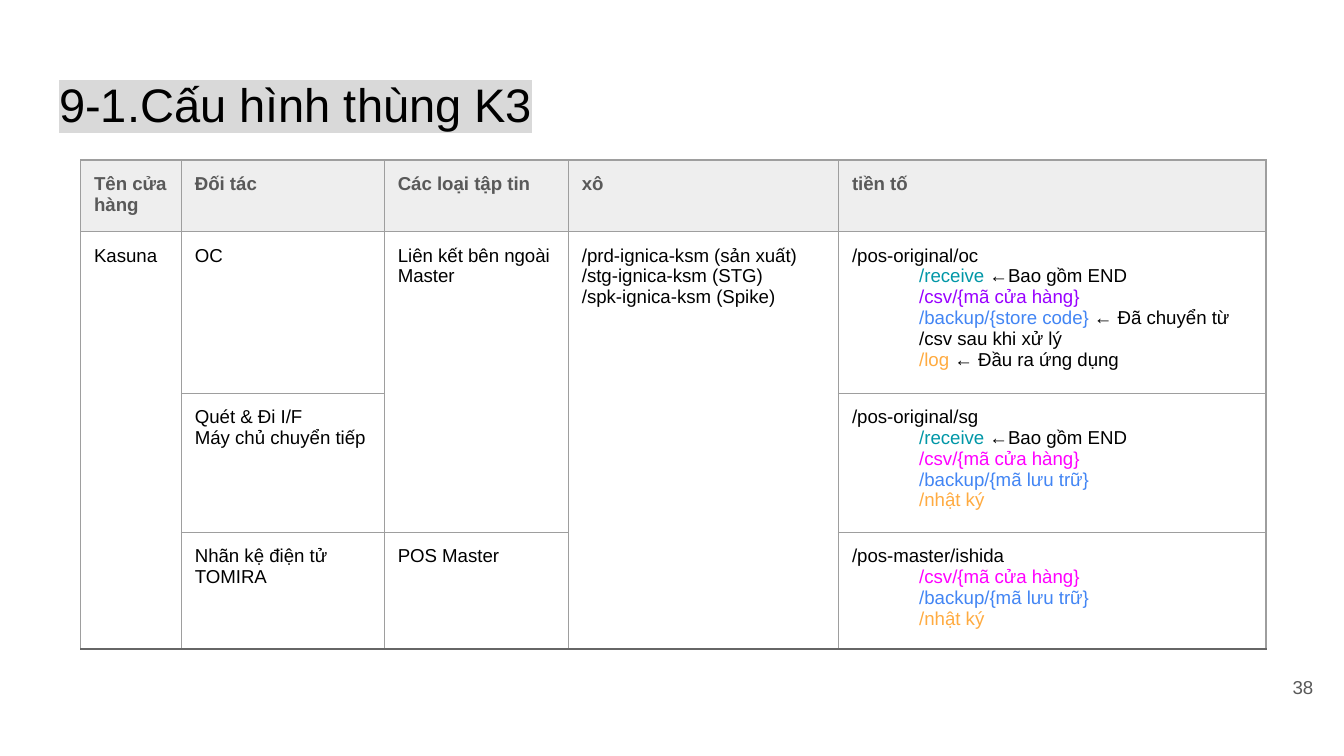
from pptx import Presentation
from pptx.dml.color import RGBColor as RGB
from pptx.enum.text import MSO_ANCHOR as Anchor, PP_ALIGN as Align
from pptx.oxml import parse_xml
from pptx.oxml.ns import nsdecls, qn
from pptx.util import Inches, Pt

BLACK = RGB(0x00, 0x00, 0x00)
GRAY = RGB(0x59, 0x59, 0x59)
PALE = RGB(0xEE, 0xEE, 0xEE)
MARK = RGB(0xD9, 0xD9, 0xD9)
EDGE = RGB(0x9E, 0x9E, 0x9E)
BASE = RGB(0x66, 0x66, 0x66)
TEAL = RGB(0x00, 0x97, 0xA7)
PURPLE = RGB(0x99, 0x00, 0xFF)
PINK = RGB(0xFF, 0x00, 0xFF)
BLUE = RGB(0x42, 0x85, 0xF4)
ORANGE = RGB(0xFF, 0xAB, 0x40)

COLS = [0.75, 1.51, 1.37, 2.01, 3.18]
ROWS = [0.26, 0.42, 0, 0]  # least heights: rows grow with their text
MERGES = [((1, 0), (3, 0)), ((1, 2), (2, 2)), ((1, 3), (3, 3))]

# A line is plain text, or a list of coloured runs that is indented.
RECEIVE = [("/receive ", TEAL), ("←Bao gồm END", BLACK)]
STORE = [
    [("/csv/{mã cửa hàng}", PINK)],
    [("/backup/{mã lưu trữ}", BLUE)],
    [("/nhật ký", ORANGE)],
]
HEADS = ["Tên cửa hàng", "Đối tác", "Các loại tập tin", "xô", "tiền tố"]
BODY = {
    (1, 0): ["Kasuna"],
    (1, 1): ["OC"],
    (1, 2): ["Liên kết bên ngoài Master"],
    (1, 3): ["/prd-ignica-ksm (sản xuất)", "/stg-ignica-ksm (STG)",
             "/spk-ignica-ksm (Spike)"],
    (1, 4): ["/pos-original/oc", RECEIVE,
             [("/csv/{mã cửa hàng}", PURPLE)],
             [("/backup/{store code} ", BLUE),
              ("← Đã chuyển từ /csv sau khi xử lý", BLACK)],
             [("/log ", ORANGE), ("← Đầu ra ứng dụng", BLACK)]],
    (2, 1): ["Quét & Đi I/F", "Máy chủ chuyển tiếp"],
    (2, 4): ["/pos-original/sg", RECEIVE, *STORE],
    (3, 1): ["Nhãn kệ điện tử TOMIRA"],
    (3, 2): ["POS Master"],
    (3, 4): ["/pos-master/ishida", *STORE],
}


def add_run(para, text, color, size=10, bold=False):
    run = para.add_run()
    run.text = text
    font = run.font
    font.name, font.size, font.bold = "Arial", Pt(size), bold
    font.color.rgb = color
    return run


def pad(item):
    """Give a cell or text frame the same inset on all sides."""
    item.margin_left = item.margin_right = Inches(0.1)
    item.margin_top = item.margin_bottom = Inches(0.1)


def place(shape, box):
    shape.left, shape.top, shape.width, shape.height = map(Inches, box)


def add_title(slide, box):
    title = slide.shapes.title
    place(title, box)
    frame = title.text_frame
    pad(frame)
    frame.word_wrap = True
    frame.vertical_anchor = Anchor.MIDDLE
    para = frame.paragraphs[0]
    para.alignment = Align.LEFT
    run = add_run(para, "9-1.Cấu hình thùng K3", BLACK, 25.2)
    fill = run.font._element.find(qn("a:solidFill"))
    fill.addnext(parse_xml(
        f'<a:highlight {nsdecls("a")}><a:srgbClr val="{MARK}"/></a:highlight>'))


def add_number(slide, box):
    frame = slide.shapes.add_textbox(*map(Inches, box)).text_frame
    pad(frame)
    frame.word_wrap = True
    frame.vertical_anchor = Anchor.MIDDLE
    para = frame.paragraphs[0]
    para.alignment = Align.RIGHT
    add_run(para, "38", GRAY)


def set_edges(cell, base):
    props = cell._tc.get_or_add_tcPr()
    sides = [("lnL", EDGE), ("lnR", EDGE), ("lnT", EDGE), ("lnB", base)]
    for spot, (side, color) in enumerate(sides):
        props.insert(spot, parse_xml(
            f'<a:{side} {nsdecls("a")} w="{Pt(0.75)}"><a:solidFill>'
            f'<a:srgbClr val="{color}"/></a:solidFill></a:{side}>'))


def fill_cell(cell, lines, color, bold):
    pad(cell)
    cell.vertical_anchor = Anchor.TOP
    frame = cell.text_frame
    for spot, line in enumerate(lines):
        para = frame.add_paragraph() if spot else frame.paragraphs[0]
        if isinstance(line, str):
            line = [(line, color)]
        else:
            para._p.get_or_add_pPr().set("marL", str(Inches(0.5)))
        for text, tint in line:
            add_run(para, text, tint, bold=bold)


def add_grid(slide, box):
    grid = slide.shapes.add_table(len(ROWS), len(COLS), *map(Inches, box))
    table = grid.table
    table.first_row = table.horz_banding = False
    for col, width in zip(table.columns, COLS):
        col.width = Inches(width)
    for row, height in zip(table.rows, ROWS):
        row.height = Inches(height)
    place(grid, box)
    for first, last in MERGES:
        table.cell(*first).merge(table.cell(*last))

    for col, head in enumerate(HEADS):
        cell = table.cell(0, col)
        fill_cell(cell, [head], GRAY, True)
        cell.fill.solid()
        cell.fill.fore_color.rgb = PALE
        set_edges(cell, EDGE)
    for (row, col), lines in BODY.items():
        cell = table.cell(row, col)
        fill_cell(cell, lines, BLACK, False)
        cell.fill.background()
        span = cell.span_height if cell.is_merge_origin else 1
        set_edges(cell, BASE if row + span == len(ROWS) else EDGE)


def main():
    deck = Presentation()
    deck.slide_width = Inches(10)
    deck.slide_height = deck.slide_width * 9 // 16
    slide = deck.slides.add_slide(deck.slide_layouts[5])
    add_title(slide, (0.34, 0.46, 9.32, 0.63))
    add_number(slide, (9.27, 4.9, 0.6, 0.43))
    add_grid(slide, (0.6, 1.19, 8.8, 3.63))
    deck.save("out.pptx")


if __name__ == "__main__":
    main()
